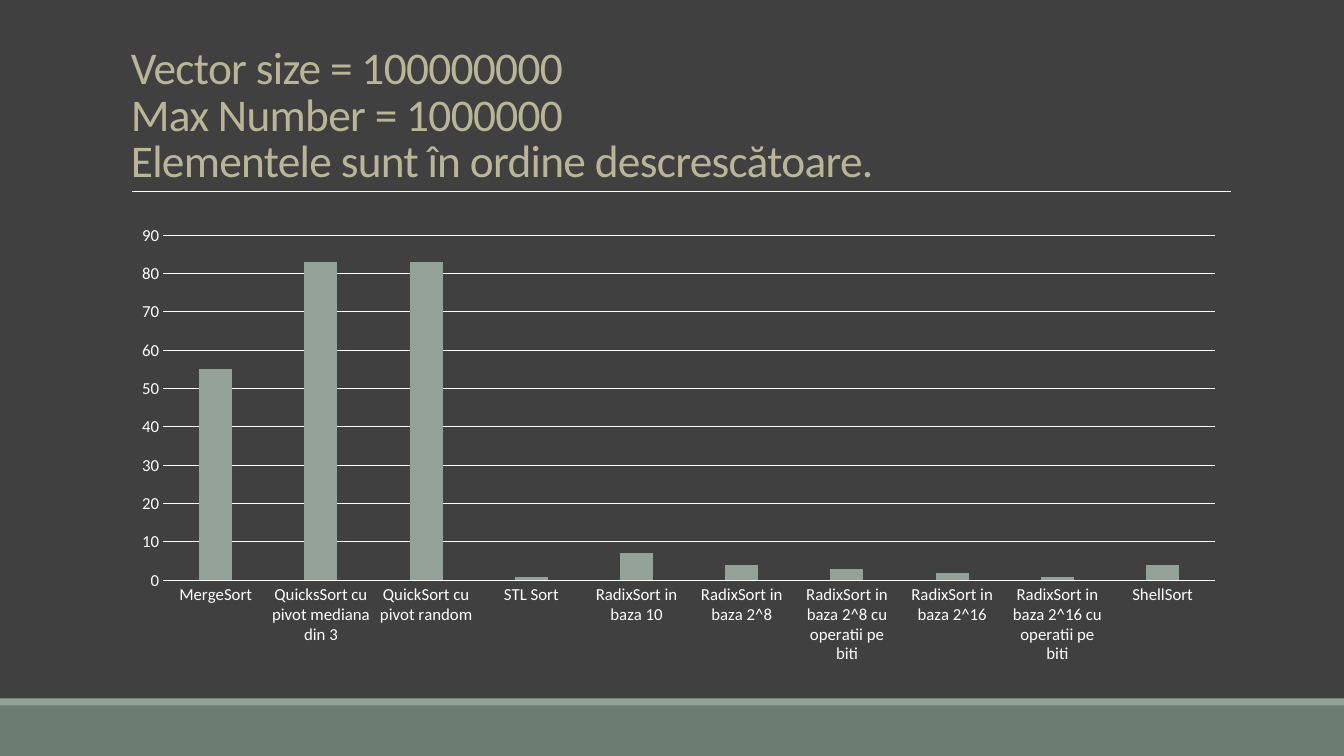
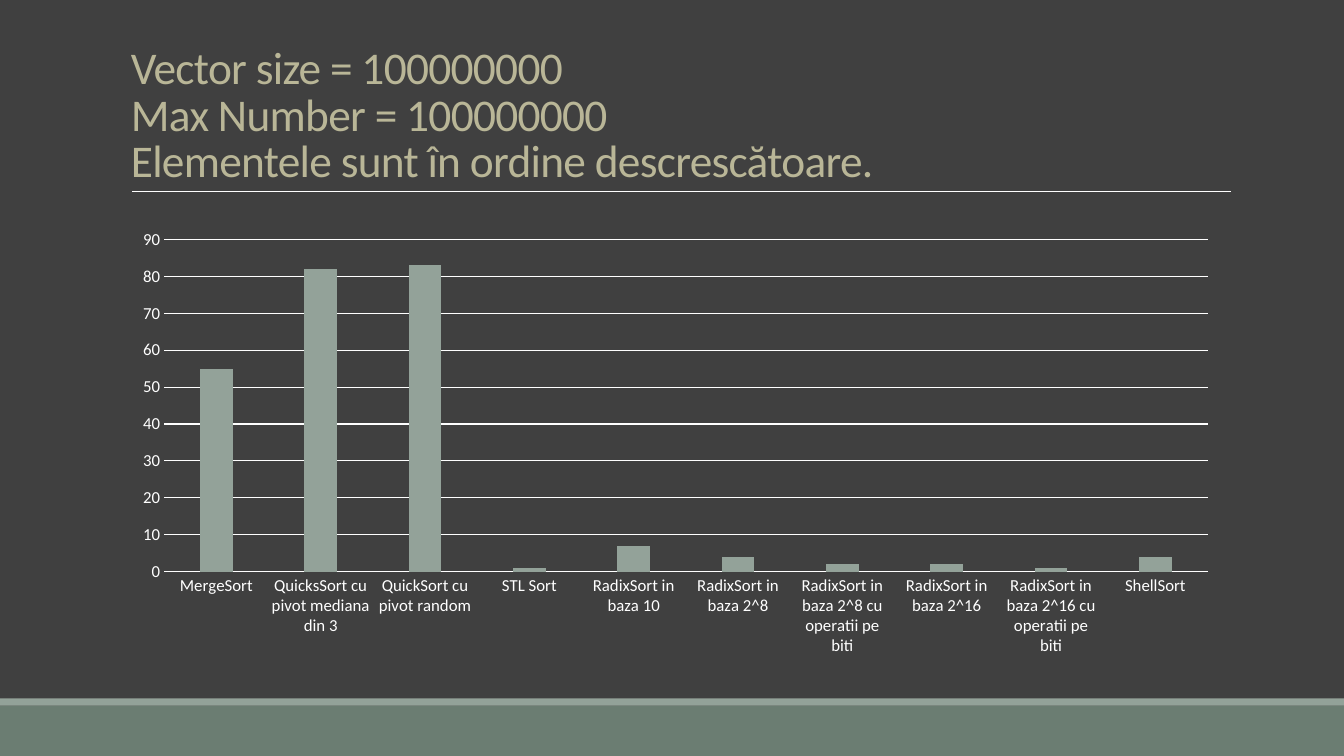
"""Build two slides that compare sorting times in column charts."""
from lxml import etree
from pptx import Presentation
from pptx import util as u
from pptx.chart.data import CategoryChartData
from pptx.dml.color import RGBColor
from pptx.enum import chart as ch, shapes, text
from pptx.oxml import parse_xml
from pptx.oxml.ns import nsdecls, qn

FONT = "Calibri"
COLORS = {"back": "404040", "band": "6B7D72", "accent": "93A299",
          "title": "B9B697", "text": "FFFFFF"}
TITLE_FONT = {"name": FONT, "size": u.Pt(32.4), "bold": False}
CHART_FONT = {"name": FONT, "size": u.Pt(12), "bold": False}
TITLE_FRAME = {"word_wrap": True, "auto_size": text.MSO_AUTO_SIZE.NONE,
               "vertical_anchor": text.MSO_ANCHOR.BOTTOM}
CHART_FORMAT = {"has_legend": False, "has_title": False}
PLOT_FORMAT = {"gap_width": 219, "overlap": -27, "vary_by_categories": False}
AXIS_FORMAT = {"major_tick_mark": ch.XL_TICK_MARK.NONE,
               "minor_tick_mark": ch.XL_TICK_MARK.NONE}
VALUE_FORMAT = {"minimum_scale": 0, "maximum_scale": 90, "major_unit": 10,
                "has_major_gridlines": True}

WIDTH, HEIGHT = 33.87, 19.05
FOOTER_BOX = (0, 17.6, WIDTH, 1.45)
TITLE_BOX = (3.05, 0.79, 27.94, 4.04)
CHART_BOX = (3.05, 5.56, 27.94, 11.18)

ALGORITHMS = ["MergeSort", "QuicksSort cu pivot mediana din 3",
              "QuickSort cu pivot random", "STL Sort", "RadixSort in baza 10",
              "RadixSort in baza 2^8", "RadixSort in baza 2^8 cu operatii pe biti",
              "RadixSort in baza 2^16", "RadixSort in baza 2^16 cu operatii pe biti",
              "ShellSort"]
SLIDES = [
    {"max_number": "1000000", "times": [55, 83, 83, 1, 7, 4, 3, 2, 1, 4],
     "layout": {"x": 0.038, "y": 0.033, "w": 0.949, "h": 0.778}},
    {"max_number": "100000000", "times": [55, 82, 83, 1, 7, 4, 2, 2, 1, 4],
     "layout": None},
]


def rgb(hex_color):
    """Turn a hex string into a colour."""
    return RGBColor.from_string(hex_color)


def set_attrs(obj, values):
    """Set each attribute named in a dict."""
    for name, value in values.items():
        setattr(obj, name, value)


def set_font(font, values, color):
    """Apply a font format and its colour."""
    set_attrs(font, values)
    font.color.rgb = rgb(color)


def set_line(line, color, width):
    """Give a line its colour and its width in points."""
    line.color.rgb = rgb(color)
    line.width = u.Pt(width)


def add_footer(s, box):
    """Draw the bottom band with a thin strip on its upper edge."""
    x, y, w, h = box
    strip = 0.18
    for top, height, color in ((y + strip, h - strip, "band"), (y, strip, "accent")):
        sp = s.shapes.add_shape(shapes.MSO_SHAPE.RECTANGLE,
                                *map(u.Cm, (x, top, w, height)))
        sp.shadow.inherit = False
        sp.fill.solid()
        sp.fill.fore_color.rgb = rgb(COLORS[color])
        sp.line.fill.background()


def add_title(s, box, lines):
    """Write the title at the bottom of its box and rule it off."""
    x, y, w, h = box
    inset = 0.28
    rule = s.shapes.add_connector(
        shapes.MSO_CONNECTOR.STRAIGHT,
        *map(u.Cm, (x + inset, y + h, x + w + 0.02, y + h)))
    set_line(rule.line, COLORS["text"], 0.5)
    etree.SubElement(rule._element.spPr, qn("a:effectLst"))
    tf = s.shapes.add_textbox(*map(u.Cm, box)).text_frame
    set_attrs(tf, TITLE_FRAME)
    p = tf.paragraphs[0]
    p.text = "\v".join(lines)
    p.line_spacing = 0.85
    for r in p.runs:
        set_font(r.font, TITLE_FONT, COLORS["title"])
        r.font._element.set("spc", "-50")


def set_plot_layout(chart, layout):
    """Fix the inner plot area at fractions of the chart."""
    area = chart._chartSpace.chart.plotArea
    for old in area.findall(qn("c:layout")):
        area.remove(old)
    modes = '<c:layoutTarget val="inner"/><c:xMode val="edge"/><c:yMode val="edge"/>'
    sizes = "".join(f'<c:{k} val="{v}"/>' for k, v in layout.items())
    area.insert(0, parse_xml(
        f'<c:layout {nsdecls("c")}><c:manualLayout>{modes}{sizes}'
        "</c:manualLayout></c:layout>"))


def add_times_chart(s, box, times, layout):
    """Draw the running times as columns."""
    data = CategoryChartData(number_format="General")
    data.categories = ALGORITHMS
    data.add_series("Series 1", times)
    chart = s.shapes.add_chart(ch.XL_CHART_TYPE.COLUMN_CLUSTERED,
                               *map(u.Cm, box), data).chart
    set_attrs(chart, CHART_FORMAT)
    set_font(chart.font, CHART_FONT, COLORS["text"])
    plot = chart.plots[0]
    set_attrs(plot, PLOT_FORMAT)
    fill = plot.series[0].format.fill
    fill.solid()
    fill.fore_color.rgb = rgb(COLORS["accent"])
    cats, vals = chart.category_axis, chart.value_axis
    for axis in (cats, vals):
        set_attrs(axis, AXIS_FORMAT)
        set_font(axis.tick_labels.font, CHART_FONT, COLORS["text"])
    set_attrs(vals, VALUE_FORMAT)
    set_line(cats.format.line, COLORS["text"], 0.75)
    set_line(vals.major_gridlines.format.line, COLORS["text"], 0.75)
    vals.format.line.fill.background()
    if layout:
        set_plot_layout(chart, layout)


def add_result_slide(prs, max_number, times, layout):
    """Add one slide with a title, a chart and the footer."""
    s = prs.slides.add_slide(prs.slide_layouts[6])
    add_footer(s, FOOTER_BOX)
    add_title(s, TITLE_BOX, ["Vector size = 100000000",
                             f"Max Number = {max_number}",
                             "Elementele sunt în ordine descrescătoare."])
    add_times_chart(s, CHART_BOX, times, layout)


def main():
    """Build and save the presentation."""
    prs = Presentation()
    set_attrs(prs, {"slide_width": u.Cm(WIDTH), "slide_height": u.Cm(HEIGHT)})
    fill = prs.slide_master.background.fill
    fill.solid()
    fill.fore_color.rgb = rgb(COLORS["back"])
    for content in SLIDES:
        add_result_slide(prs, **content)
    prs.save("out.pptx")


if __name__ == "__main__":
    main()
